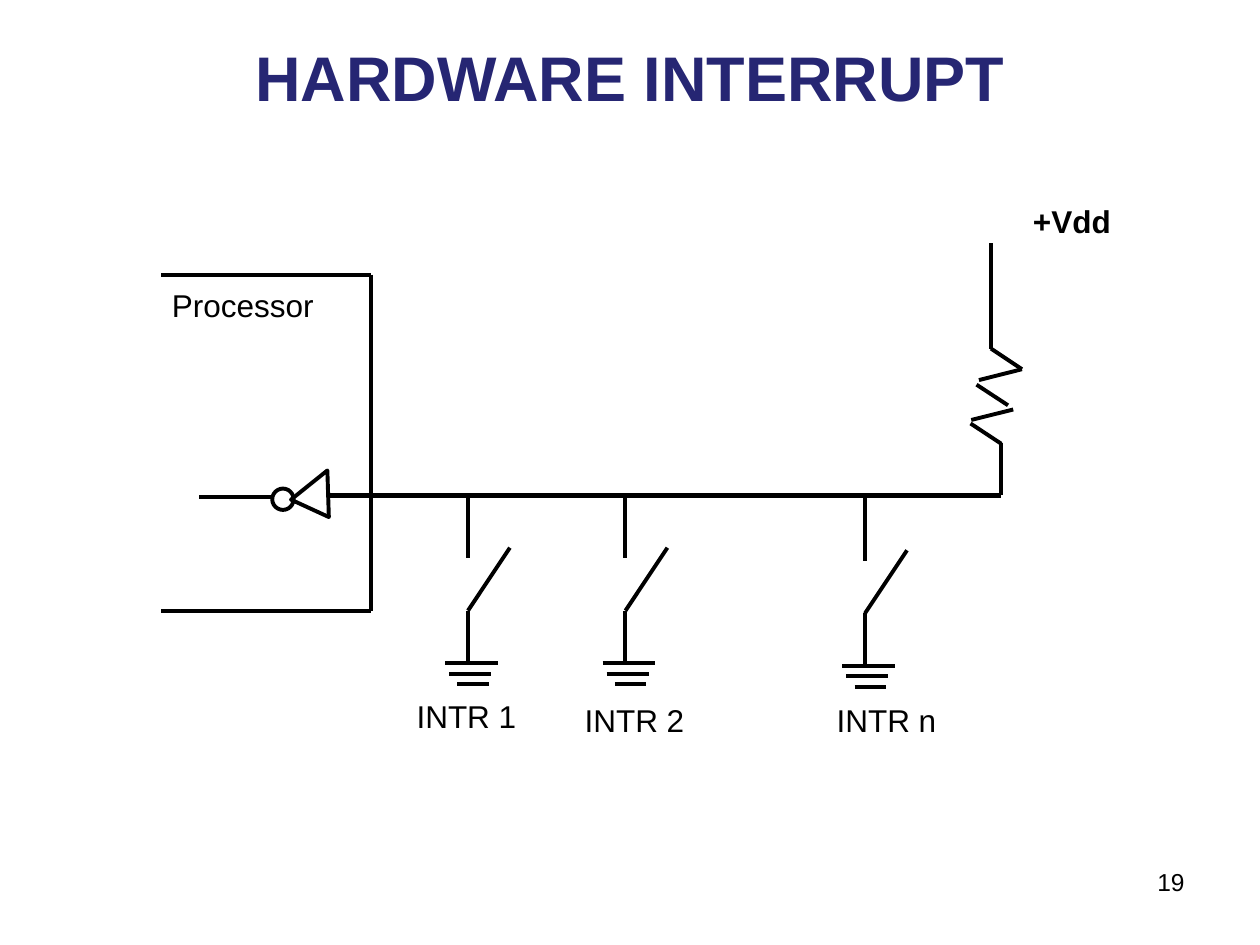
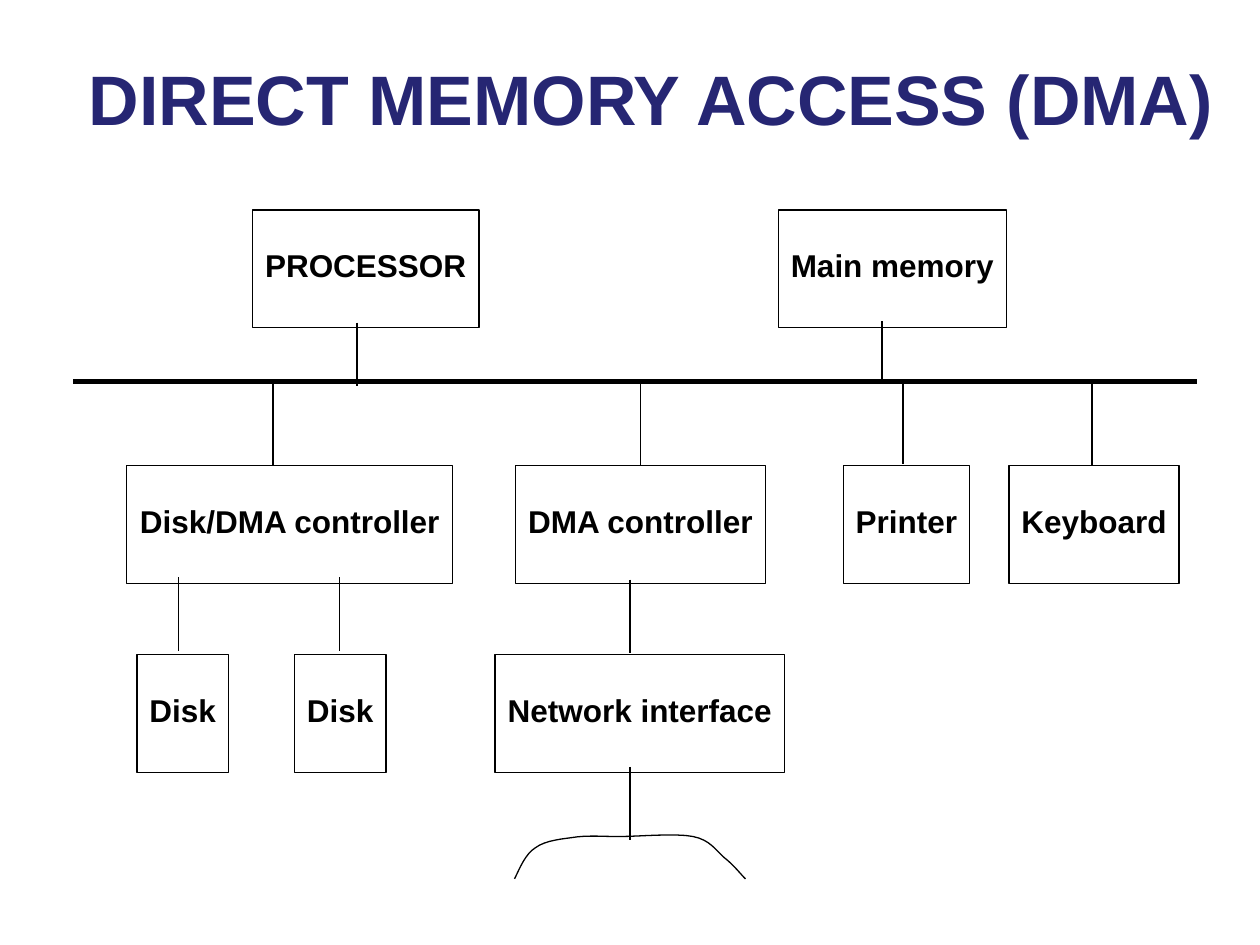
from lxml import etree
from pptx import Presentation
from pptx.dml.color import RGBColor
from pptx.enum.shapes import MSO_CONNECTOR, MSO_SHAPE
from pptx.enum.text import MSO_ANCHOR, PP_ALIGN
from pptx.oxml.ns import qn
from pptx.util import Pt

LINE = MSO_CONNECTOR.STRAIGHT
RECT, OVAL, TRI = MSO_SHAPE.RECTANGLE, MSO_SHAPE.OVAL, MSO_SHAPE.ISOSCELES_TRIANGLE
LEFT, MID, RIGHT = PP_ALIGN.LEFT, PP_ALIGN.CENTER, PP_ALIGN.RIGHT
TOP, CENTRE = MSO_ANCHOR.TOP, MSO_ANCHOR.MIDDLE

COLORS = {"title": "262673", "ink": "000000"}
FONT = "Arial"
THIN, WIRE, BUS = 0.75, 2.25, 3

# Hardware interrupt circuit, all lengths in points
INTR_TITLE = ("HARDWARE INTERRUPT", 36, (36, 21.6, 648, 44.6))
INTR_BUS = (188, 283, 572.2, 283)
WIRES = [
    (113.8, 284.2, 155.5, 284.2),                                   # inverter output
    (92.2, 157, 212.2, 157), (92.2, 349, 212.2, 349),               # processor edges
    (212.2, 157, 212.2, 349),
    (566.3, 139, 566.3, 199.2), (572.2, 253.4, 572.2, 283),         # supply leads
    (566.3, 199.2, 584, 211), (584, 211, 559.4, 217.2),             # resistor zigzag
    (558, 219.8, 576, 231.6), (579, 234, 555, 240),
    (554.6, 242, 572.2, 253.6),
]
SWITCHES = [(267.4, 283), (357.4, 283), (494.3, 284.5)]
SWITCH = [  # relative to the point on the bus
    (0, 0, 0, 36), (0, 66, 0, 96), (24, 30, 0, 66),
    (-13, 96, 17, 96), (-10.8, 102, 13.2, 102), (-6, 108, 12, 108),
]
GATE = (170.2, 267.8, 23.8, 23.8)
GATE_TURN = 24.7
BUBBLE = (155.6, 279.2, 12.2, 12.2)
LABELS = [
    ("+Vdd", (583.2, 111.8, 72, 29), True),
    ("Processor", (91.2, 160, 112, 29), False),
    ("INTR 1", (231, 394.6, 86, 29), False),
    ("INTR 2", (327, 397.2, 86, 29), False),
    ("INTR n", (471, 397.2, 86, 29), False),
]
PAGE = ("19", (516.2, 491.8, 167.8, 37.4))

# Direct memory access block diagram
DMA_TITLE = ("DIRECT MEMORY ACCESS (DMA)", 40, (36, 21.6, 672, 68.4))
BUS_Y = 218.2
DMA_BUS = (42, BUS_Y, 684, BUS_Y)
BOX_H = 67.4
ROWS = [  # top of the row, then (name, left, width)
    (120, [("PROCESSOR", 144.2, 129.6), ("Main memory", 444.8, 130.2)]),
    (266.2, [("Disk/DMA controller", 72.4, 186.4), ("DMA controller", 294.4, 143.2),
             ("Printer", 482, 72), ("Keyboard", 576.6, 97.2)]),
    (374, [("Disk", 78.2, 52.4), ("Disk", 168.2, 52.4),
           ("Network interface", 282.8, 165.6)]),
]
DROPS = [  # x, top, bottom
    (204, 184.4, 220.4), (504, 183.6, BUS_Y), (156, BUS_Y, 266.2),
    (516, BUS_Y, 265.2), (624, BUS_Y, 266.2), (102, 330, 372),
    (194.2, 330, 372), (360, 331.2, 373), (360, 438.2, 480),
]
JOINED = "DMA controller"
NET_START = (294, 502.2)
NET_CURVE = [  # two control points and an end point each
    ((297.4, 495.4), (300.2, 488), (306, 484.4)),
    ((311.8, 480), (321.8, 479.4), (329.8, 478.2)),
    ((337.7, 477.4), (342.7, 478), (354.2, 478)),
    ((365, 478), (385.9, 476), (396, 478)),
    ((406, 480), (409, 486), (414, 490.2)),
    ((419, 494), (424, 500.4), (426, 502.2)),
]


def color(key):
    return RGBColor.from_string(COLORS[key])


def pts(vals):
    return [Pt(v) for v in vals]


def write(frame, text, size, ink="ink", bold=False, align=LEFT, anchor=TOP, wrap=False):
    frame.word_wrap, frame.vertical_anchor = wrap, anchor
    para = frame.paragraphs[0]
    para.alignment = align
    run = para.add_run()
    run.text = text
    form = {"name": FONT, "size": Pt(size), "bold": bold}
    for key, val in form.items():
        setattr(run.font, key, val)
    run.font.color.rgb = color(ink)


def ink_line(line, width):
    line.color.rgb = color("ink")
    line.width = Pt(width)


def wire(slide, ends, width=WIRE):
    link = slide.shapes.add_connector(LINE, *pts(ends))
    ink_line(link.line, width)
    etree.SubElement(link._element.spPr, qn("a:effectLst"))
    return link


def outline(shape, width):
    shape.shadow.inherit = False
    shape.fill.background()
    ink_line(shape.line, width)


def draw(slide, kind, place, width):
    shape = slide.shapes.add_shape(kind, *pts(place))
    outline(shape, width)
    return shape


def label(slide, text, place, size=18, **form):
    write(slide.shapes.add_textbox(*pts(place)).text_frame, text, size, **form)


def start(deck, text, size, place):
    """Add a slide with its title."""
    slide = deck.slides.add_slide(deck.slide_layouts[5])
    title = slide.shapes.title
    title.left, title.top, title.width, title.height = pts(place)
    write(title.text_frame, text, size, "title", True, MID, CENTRE, True)
    return slide


def trace(first, parts, steps=8):
    """Return points along a chain of cubic curves."""
    dots = [first]
    for one, two, end in parts:
        begin = dots[-1]
        for i in range(1, steps + 1):
            t = i / steps
            u = 1 - t
            dots.append(tuple(
                u**3 * a + 3 * u * u * t * b + 3 * u * t * t * c + t**3 * d
                for a, b, c, d in zip(begin, one, two, end)))
    return dots


def circuit(deck):
    slide = start(deck, *INTR_TITLE)
    wire(slide, INTR_BUS, BUS)
    draw(slide, TRI, GATE, WIRE).rotation = GATE_TURN
    draw(slide, OVAL, BUBBLE, WIRE)
    for ends in WIRES:
        wire(slide, ends)
    for x, y in SWITCHES:
        for x1, y1, x2, y2 in SWITCH:
            wire(slide, (x + x1, y + y1, x + x2, y + y2))
    for text, place, bold in LABELS:
        label(slide, text, place, bold=bold)
    label(slide, *PAGE, size=14, align=RIGHT, wrap=True)


def blocks(deck):
    slide = start(deck, *DMA_TITLE)
    boxes = {}
    for top, row in ROWS:
        for name, left, width in row:
            box = draw(slide, RECT, (left, top, width, BOX_H), THIN)
            write(box.text_frame, name, 18, bold=True, align=MID, anchor=CENTRE)
            box.text_frame.margin_bottom = Pt(7.8)
            boxes[name] = box
    wire(slide, DMA_BUS, BUS)
    for x, top, bottom in DROPS:
        wire(slide, (x, top, x, bottom), THIN)
    box = boxes[JOINED]
    x = (box.left + box.width / 2) / Pt(1)
    wire(slide, (x, BUS_Y, x, box.top / Pt(1)), THIN).end_connect(box, 0)
    dots = [pts(dot) for dot in trace(NET_START, NET_CURVE)]
    build = slide.shapes.build_freeform(*dots[0])
    build.add_line_segments(dots[1:], close=False)
    outline(build.convert_to_shape(), THIN)


def main():
    deck = Presentation()
    deck.slide_width, deck.slide_height = Pt(720), Pt(540)
    circuit(deck)
    blocks(deck)
    deck.save("out.pptx")


if __name__ == "__main__":
    main()
